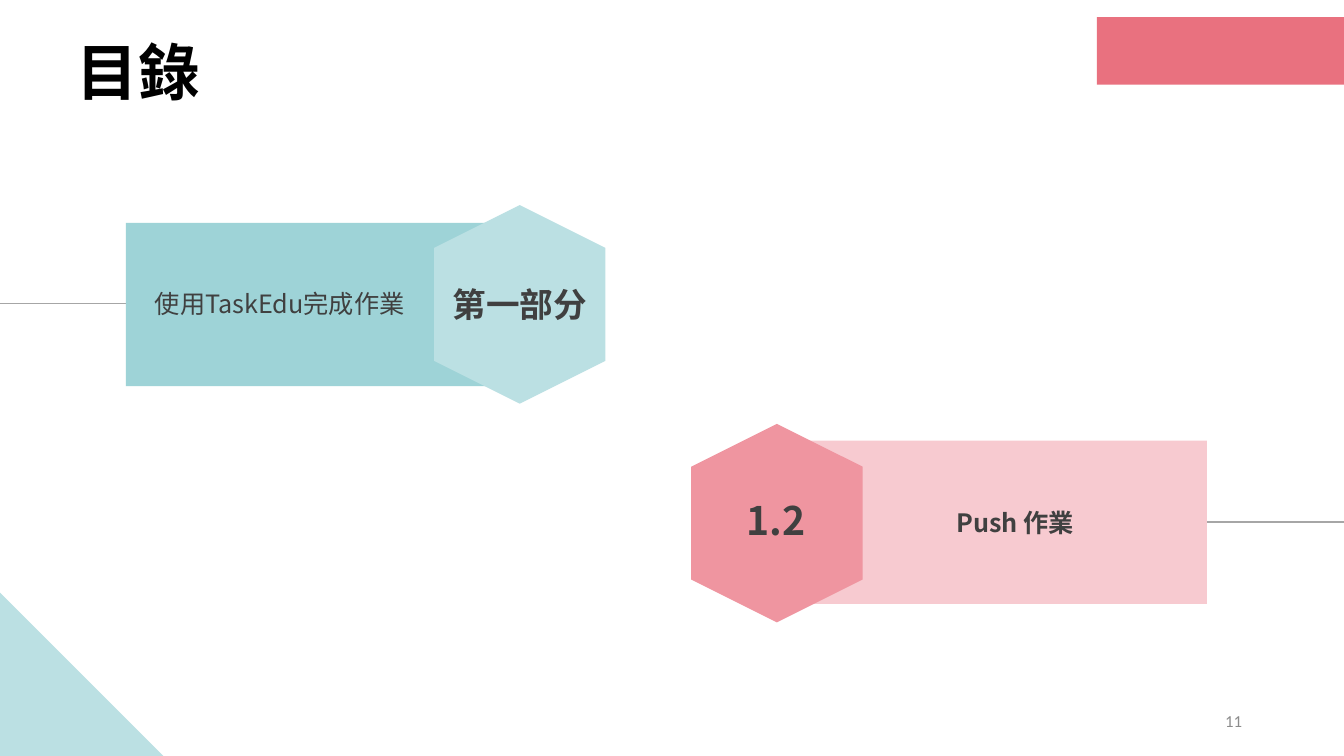
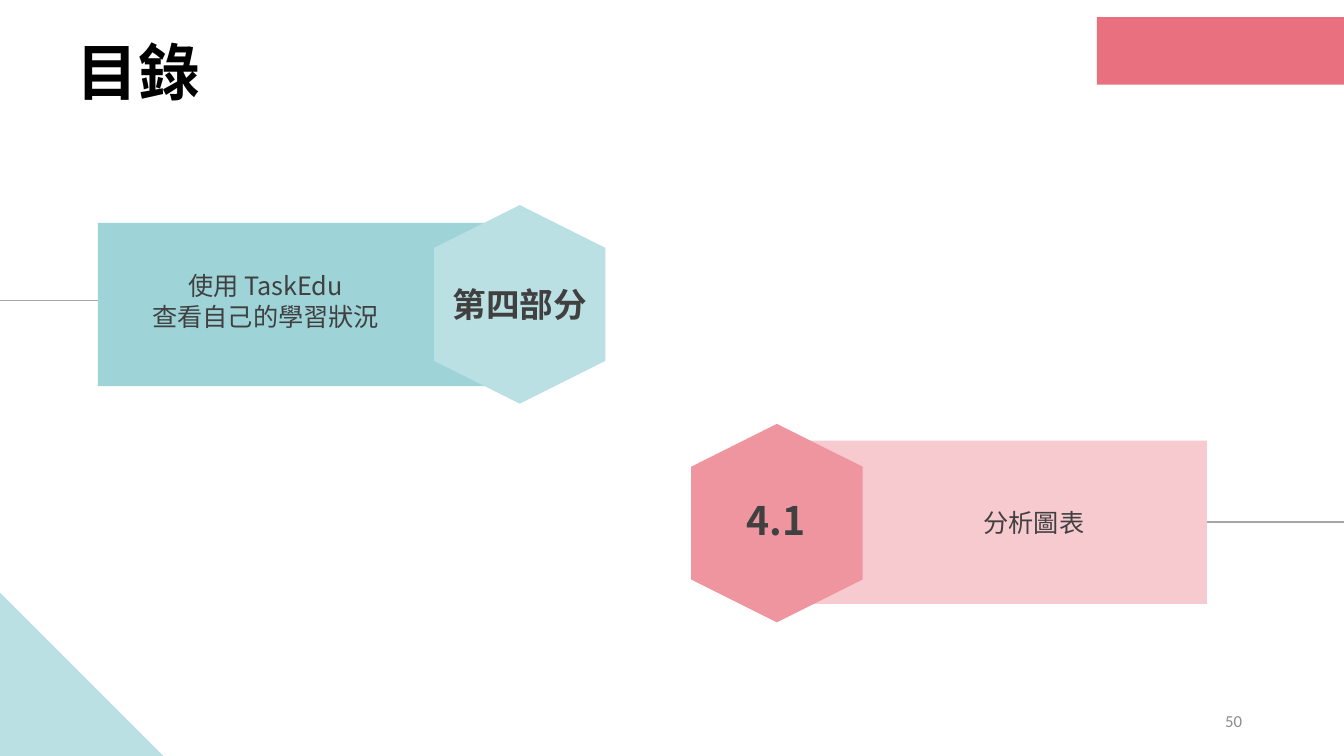
import pptx
import pptx.util
import pptx.dml.color
import pptx.enum.shapes
import pptx.enum.text
import pptx.oxml.ns

Inches = pptx.util.Inches
Pt = pptx.util.Pt
Shape = pptx.enum.shapes.MSO_SHAPE
Align = pptx.enum.text.PP_ALIGN
Anchor = pptx.enum.text.MSO_ANCHOR

COLORS = {
    "black": "000000",
    "ink": "404040",
    "gray": "8C8C8C",
    "rule": "A6A6A6",
    "teal": "9ED3D7",
    "mint": "BBE0E3",
    "red": "E9717F",
    "rose": "EF95A0",
    "blush": "F7CAD0",
}
SANS = "Noto Sans CJK SC"
WIDE, HIGH = 13.33, 7.5
FORMATS = {
    "title": {"size": Pt(44), "bold": True, "name": SANS},
    "label": {"size": Pt(24), "bold": True, "name": SANS},
    "number": {"size": Pt(28), "bold": True, "name": SANS},
    "topic": {"size": Pt(18), "bold": False, "name": SANS},
    "strong": {"size": Pt(18), "bold": True, "name": SANS},
    "page": {"size": Pt(12), "bold": False, "name": "Calibri"},
}


def color(key):
    return pptx.dml.color.RGBColor.from_string(COLORS[key])


def add(parent, tag, **values):
    parent.append(parent.makeelement(pptx.oxml.ns.qn(tag), values))


class Deck:
    def __init__(self):
        self.file = pptx.Presentation()
        self.file.slide_width = Inches(WIDE)
        self.file.slide_height = Inches(HIGH)
        self.slide = None

    def start(self, title, page):
        self.slide = self.file.slides.add_slide(self.file.slide_layouts[6])
        self.text(title, (0.76, 0.34, 11.82, 0.74), "title", "black", Align.LEFT, Anchor.TOP)
        self.shape(Shape.RIGHT_TRIANGLE, (0, 5.88, 1.62, 1.62), "mint")
        self.shape(Shape.RECTANGLE, (10.88, 0.17, WIDE - 10.88, 0.67), "red")
        self.text(page, (9.42, 6.95, 2.9, 0.4), "page", "gray", Align.RIGHT)

    def shape(self, kind, box, fill, turn=0):
        item = self.slide.shapes.add_shape(kind, *map(Inches, box))
        item.shadow.inherit = False
        item.fill.solid()
        item.fill.fore_color.rgb = color(fill)
        item.line.fill.background()
        item.rotation = turn

    def text(self, words, box, style, ink="ink", align=Align.CENTER, anchor=Anchor.MIDDLE):
        frame = self.slide.shapes.add_textbox(*map(Inches, box)).text_frame
        layout = {"word_wrap": True, "vertical_anchor": anchor, "margin_left": 0,
                  "margin_right": 0, "margin_top": 0, "margin_bottom": 0}
        for key, value in layout.items():
            setattr(frame, key, value)
        para = frame.paragraphs[0]
        para.text = words
        para.alignment = align
        for run in para.runs:
            for key, value in FORMATS[style].items():
                setattr(run.font, key, value)
            run.font.color.rgb = color(ink)
            add(run._r.get_or_add_rPr(), "a:ea", typeface=FORMATS[style]["name"])

    def line(self, left, right, top):
        kind = pptx.enum.shapes.MSO_CONNECTOR.STRAIGHT
        rule = self.slide.shapes.add_connector(kind, *map(Inches, (left, top, right, top)))
        rule.line.color.rgb = color("rule")
        rule.line.width = Pt(1)
        add(rule._element.spPr, "a:effectLst")

    def card(self, left, right, top, fill):
        self.shape(Shape.RECTANGLE, (left, top, right - left, 1.62), fill)

    def badge(self, left, top, fill):
        self.shape(Shape.HEXAGON, (left, top, 1.97, 1.7), fill, 90)

    def lead(self, left, level, label, topic, box):
        self.line(0, left, level)
        self.card(left, 5.15, 2.21, "teal")
        self.badge(4.17, 2.17, "mint")
        self.text(label, (4.4, 2.82, 1.51, 0.4), "label")
        self.text(topic, box, "topic")

    def step(self, number, topic, box, style):
        self.line(11.97, WIDE, 5.18)
        self.card(7.68, 11.97, 4.37, "blush")
        self.badge(6.72, 4.34, "rose")
        self.text(number, (6.94, 4.92, 1.51, 0.47), "number")
        self.text(topic, box, style)


def main():
    deck = Deck()
    deck.start("目錄", "11")
    deck.lead(1.25, 3.01, "第一部分", "使用TaskEdu完成作業", (1.49, 2.86, 2.57, 0.3))
    deck.step("1.2", "Push 作業", (8.94, 5.03, 2.26, 0.3), "strong")

    deck.start("目錄", "50")
    deck.lead(0.97, 2.98, "第四部分", "使用 TaskEdu\v查看自己的學習狀況", (1.1, 2.68, 3.07, 0.61))
    deck.step("4.1", "分析圖表", (8.72, 5.03, 3.07, 0.3), "topic")
    deck.file.save("out.pptx")


if __name__ == "__main__":
    main()
